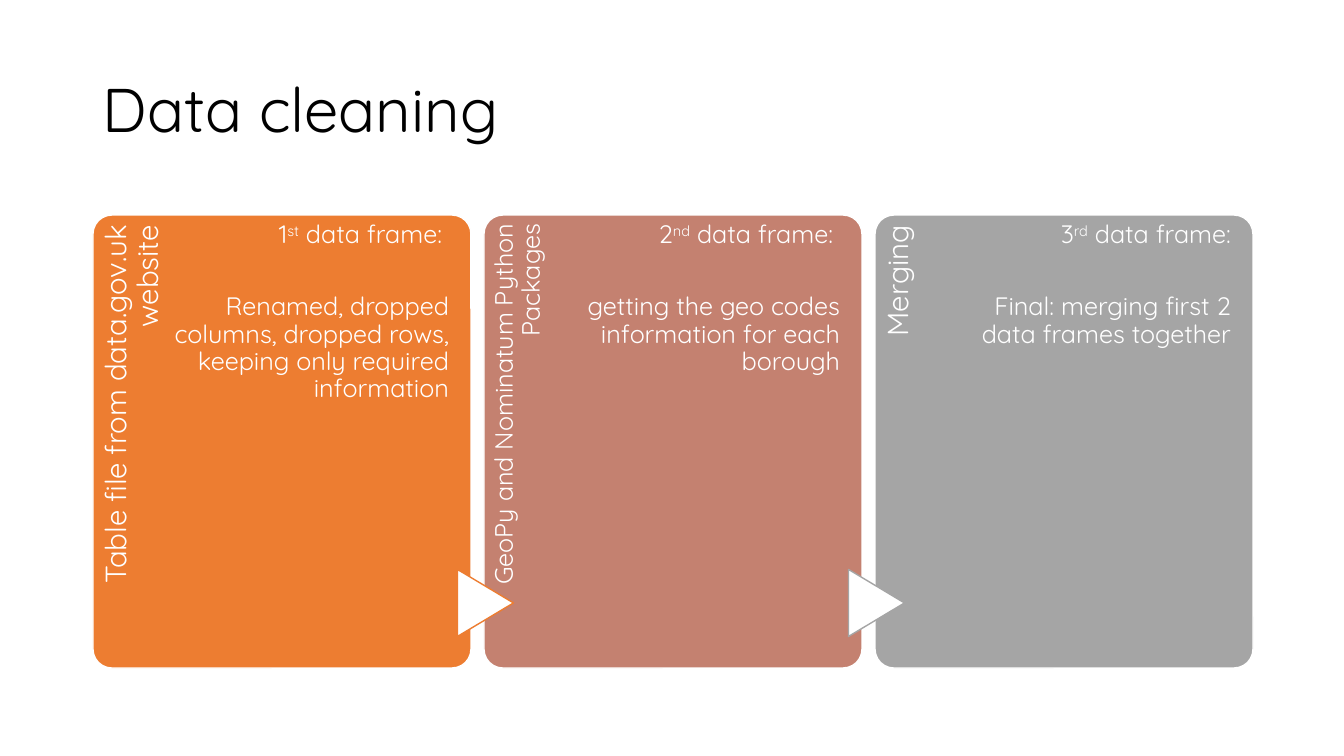
from pptx import Presentation
from pptx import util as u
from pptx.dml.color import RGBColor
from pptx.enum import shapes, text

SLIDE_W, SLIDE_H = 1344, 756
PX = 12192000 / SLIDE_W
WHITE, BLACK = "FFFFFF", "000000"
ORANGE, CLAY, GREY = "ED7D31", "C48170", "A5A5A5"
CARD_LEFT, CARD_TOP, CARD_W, CARD_H = 93, 215, 378, 453
CARD_PITCH = 391

# fill, arrow outline, side label, label size, number, ordinal, heading, body
STEPS = [
    (ORANGE, None, "Table file from data.gov.uk website", 21,
     "1", "st", " data frame: ",
     "Renamed, dropped columns, dropped rows, keeping only required information"),
    (CLAY, ORANGE, "GeoPy and Nominatum Python Packages", 18,
     "2", "nd", " data frame: ",
     "getting the geo codes information for each borough"),
    (GREY, GREY, "Merging", 21,
     "3", "rd", " data frame:",
     "Final: merging first 2 data frames together"),
]


def px(length):
    return u.Emu(round(length * PX))


def color(hex_code):
    return RGBColor.from_string(hex_code)


class Deck:
    """Holds the text style and the slide being built."""

    font = "Quicksand"

    def __init__(self):
        self.prs = Presentation()
        self.prs.slide_width, self.prs.slide_height = px(SLIDE_W), px(SLIDE_H)
        self.slide = self.prs.slides.add_slide(self.prs.slide_layouts[5])

    def frame(self, holder, insets, anchor=text.MSO_ANCHOR.TOP):
        """Set wrapping, anchor and insets (left, top, right, bottom)."""
        tf = holder.text_frame
        settings = {"word_wrap": True, "auto_size": text.MSO_AUTO_SIZE.NONE,
                    "vertical_anchor": anchor}
        for side, inset in zip(("left", "top", "right", "bottom"), insets):
            settings[f"margin_{side}"] = px(inset)
        for name, value in settings.items():
            setattr(tf, name, value)
        return tf

    def put_text(self, paragraph, runs, size, hex_code=WHITE,
                 align=text.PP_ALIGN.RIGHT, after=0):
        """Fill a paragraph with (wording, is_superscript) runs."""
        layout = {"alignment": align, "line_spacing": 0.9,
                  "space_before": u.Pt(0), "space_after": u.Pt(after)}
        for name, value in layout.items():
            setattr(paragraph, name, value)
        for wording, superscript in runs:
            run = paragraph.add_run()
            run.text = wording
            run.font.name, run.font.size = self.font, u.Pt(size)
            run.font.color.rgb = color(hex_code)
            if superscript:
                run.font._element.set("baseline", "30000")

    def title(self, wording, *box):
        title = self.slide.shapes.title
        for name, value in zip(("left", "top", "width", "height"), box):
            setattr(title, name, px(value))
        tf = self.frame(title, (10, 5, 10, 5), text.MSO_ANCHOR.MIDDLE)
        self.put_text(tf.paragraphs[0], [(wording, False)], 44, BLACK,
                      text.PP_ALIGN.LEFT)

    def shape(self, kind, box, fill, line, rotation=0):
        shape = self.slide.shapes.add_shape(kind, *map(px, box))
        shape.shadow.inherit = False
        shape.rotation = rotation
        shape.fill.solid()
        shape.fill.fore_color.rgb = color(fill)
        shape.line.color.rgb = color(line)
        shape.line.width = u.Pt(1)
        return shape

    def card(self, left, fill):
        card = self.shape(shapes.MSO_SHAPE.ROUNDED_RECTANGLE,
                          (left, CARD_TOP, CARD_W, CARD_H), fill, WHITE)
        card.adjustments[0] = 0.05

    def side_label(self, left, wording, size):
        label = self.slide.shapes.add_textbox(
            *map(px, (left - 148, 363, 372, 76)))
        label.rotation = 270
        tf = self.frame(label, (0, 8, 10, 0) if size > 18 else (0, 7, 9, 0))
        self.put_text(tf.paragraphs[0], [(wording, False)], size)

    def arrow(self, left, line):
        self.shape(shapes.MSO_SHAPE.FLOWCHART_EXTRACT,
                   (left - 32, 575, 67, 56), WHITE, line, 90)

    def details(self, left, heading, body):
        details = self.slide.shapes.add_textbox(
            *map(px, (left + 75, CARD_TOP, 281, CARD_H)))
        tf = self.frame(details, (0, 7, 0, 0))
        self.put_text(tf.paragraphs[0], heading, 18, after=32)
        self.put_text(tf.add_paragraph(), [(body, False)], 18)


def main():
    deck = Deck()
    deck.title("Data cleaning", 93, 40, 1159, 146)
    for i, (fill, outline, label, size, number, ordinal, heading, body) in enumerate(STEPS):
        left = CARD_LEFT + i * CARD_PITCH
        deck.card(left, fill)
        deck.side_label(left, label, size)
        if outline:
            deck.arrow(left, outline)
        deck.details(left, [(number, False), (ordinal, True), (heading, False)], body)
    deck.prs.save("out.pptx")


if __name__ == "__main__":
    main()
